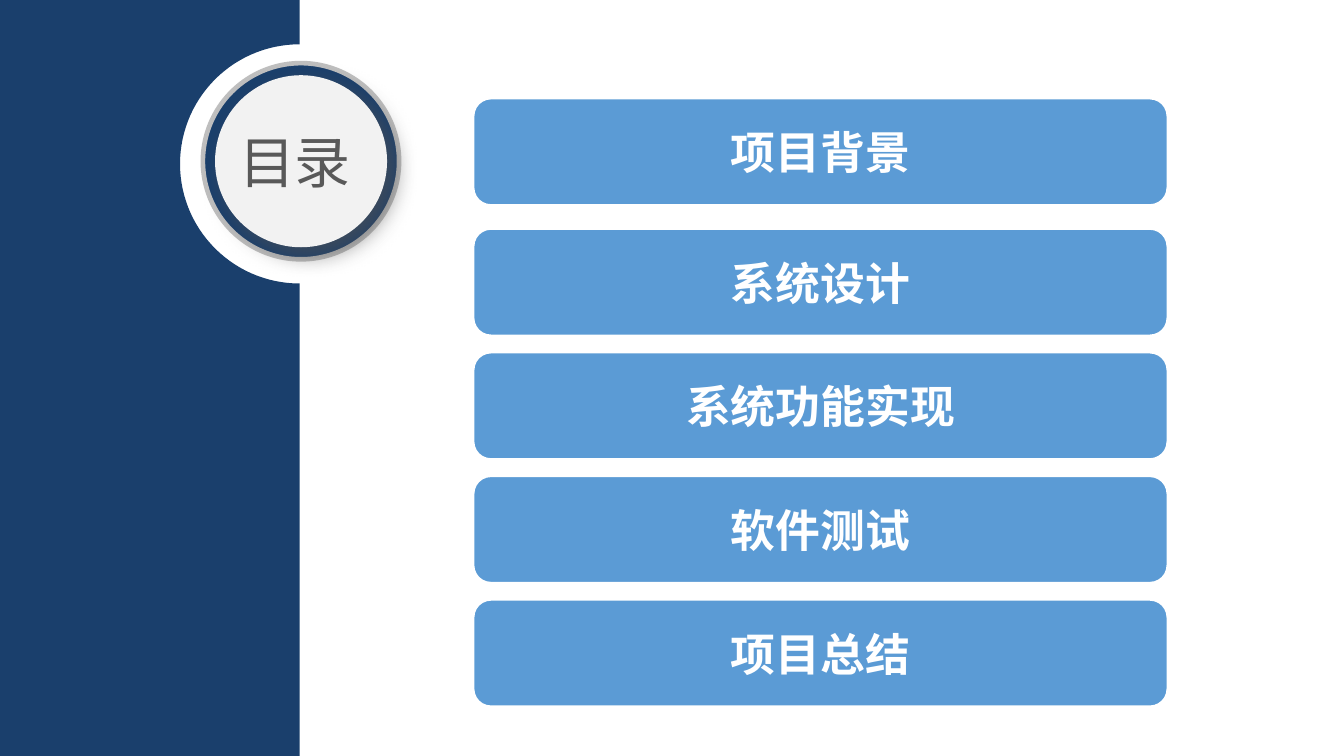
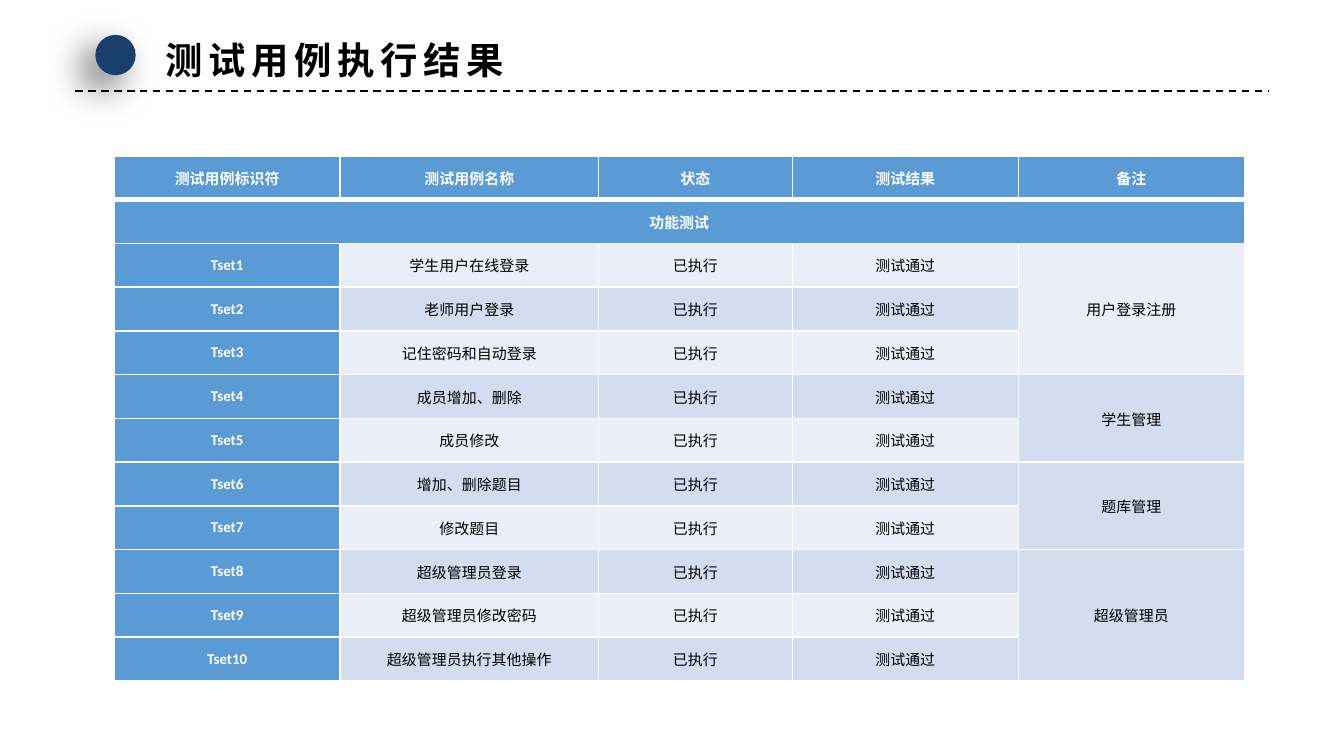
from math import cos, pi, sin

from lxml.etree import SubElement
from pptx import Presentation
from pptx.dml.color import RGBColor
from pptx.enum.dml import MSO_LINE
from pptx.enum.shapes import MSO_CONNECTOR, MSO_SHAPE
from pptx.enum.text import MSO_ANCHOR, PP_ALIGN
from pptx.oxml import parse_xml
from pptx.oxml.ns import nsdecls, qn
from pptx.util import Inches, Pt

NAVY = RGBColor(0x1A, 0x3F, 0x6C)
BLUE = RGBColor(0x5B, 0x9B, 0xD5)
PALE = RGBColor(0xEA, 0xEF, 0xF7)
MIST = RGBColor(0xD2, 0xDE, 0xEF)
WHITE = RGBColor(0xFF, 0xFF, 0xFF)
BLACK = RGBColor(0, 0, 0)
DARK_GREY = RGBColor(0x59, 0x59, 0x59)
LIGHT_GREY = RGBColor(0xF2, 0xF2, 0xF2)
RING_GREY = RGBColor(0xBF, 0xBF, 0xBF)
SHADOW_GREY = RGBColor(0x52, 0x52, 0x52)

CJK_FONT = "Noto Sans CJK SC"
TITLE_FONT = "Quicksand"
TABLE_FONT = "Calibri"

SLIDE_WIDTH = 10
SLIDE_HEIGHT = SLIDE_WIDTH * 9 / 16

TOPICS = ["项目背景", "系统设计", "系统功能实现", "软件测试", "项目总结"]
HEADERS = ["测试用例标识符", "测试用例名称", "状态", "测试结果", "备注"]
COLUMN_SHARES = [1.68, 1.92, 1.44, 1.68, 1.68]
TEST_GROUPS = [
    ("用户登录注册", ["学生用户在线登录", "老师用户登录", "记住密码和自动登录"]),
    ("学生管理", ["成员增加、删除", "成员修改"]),
    ("题库管理", ["增加、删除题目", "修改题目"]),
    ("超级管理员", ["超级管理员登录", "超级管理员修改密码", "超级管理员执行其他操作"]),
]


def write(text_frame, text, size, color, font_name=CJK_FONT, bold=False,
          alignment=PP_ALIGN.CENTER, spacing=None):
    paragraph = text_frame.paragraphs[0]
    paragraph.text = text
    paragraph.alignment = alignment
    font = paragraph.font
    font.size, font.bold, font.name = Pt(size), bold, font_name
    font.color.rgb = color
    properties = paragraph._p.pPr.find(qn("a:defRPr"))
    SubElement(properties, qn("a:ea")).set("typeface", CJK_FONT)
    if spacing:
        properties.set("spc", str(spacing * 100))


def add_filled(slide, kind, left, top, width, height, fill, line=None, line_width=1):
    shape = slide.shapes.add_shape(
        kind, Inches(left), Inches(top), Inches(width), Inches(height))
    shape.shadow.inherit = False
    paint(shape, fill, line, line_width)
    return shape


def paint(shape, fill, line=None, line_width=1):
    shape.fill.solid()
    shape.fill.fore_color.rgb = fill
    if line is None:
        shape.line.fill.background()
    else:
        shape.line.color.rgb = line
        shape.line.width = Pt(line_width)


def add_shadow(shape, color, opacity, blur, distance, angle):
    """Cast an outer shadow: opacity in percent, lengths in points, angle in degrees."""
    effects = shape._element.spPr.find(qn("a:effectLst"))
    effects.append(parse_xml(
        f'<a:outerShdw {nsdecls("a")} blurRad="{Pt(blur)}" dist="{Pt(distance)}" '
        f'dir="{angle * 60000}" algn="ctr" rotWithShape="0"><a:srgbClr val="{color}">'
        f'<a:alpha val="{opacity * 1000}"/></a:srgbClr></a:outerShdw>'))


def add_side_panel(slide, left, right, notch_center, notch_radius, steps=60):
    """Draw the full-height panel with a half-circle notch in its right edge."""
    angles = [-pi / 2 - pi * step / steps for step in range(steps + 1)]
    notch = [(right + notch_radius * cos(angle), notch_center + notch_radius * sin(angle))
             for angle in angles]
    outline = [(right, 0), *notch, (right, SLIDE_HEIGHT), (left, SLIDE_HEIGHT)]
    builder = slide.shapes.build_freeform(Inches(left), 0)
    builder.add_line_segments([(Inches(x), Inches(y)) for x, y in outline], close=True)
    panel = builder.convert_to_shape()
    panel.shadow.inherit = False
    paint(panel, NAVY)


def add_badge(slide, text, left, top, size):
    rim = 0.09
    add_filled(slide, MSO_SHAPE.OVAL, left, top, size, size, NAVY, RING_GREY, 2.5)
    disc = add_filled(slide, MSO_SHAPE.OVAL, left + rim, top + rim,
                      size - 2 * rim, size - 2 * rim, LIGHT_GREY)
    add_shadow(disc, SHADOW_GREY, 64, 12, 6, 45)
    box = slide.shapes.add_textbox(
        Inches(left - 0.01), Inches(top + 0.44), Inches(1.39), Inches(0.58))
    frame = box.text_frame
    frame.word_wrap = True
    frame.margin_left = frame.margin_right = Inches(0.07)
    frame.margin_top = frame.margin_bottom = Inches(0.04)
    write(frame, text, 30, DARK_GREY, TITLE_FONT)


def add_topic_bars(slide, left, top, width, height):
    pitch, first_extra = 0.92, 0.05
    for index, topic in enumerate(TOPICS):
        bar_top = top + index * pitch + (first_extra if index else 0)
        bar = add_filled(slide, MSO_SHAPE.ROUNDED_RECTANGLE, left, bar_top,
                         width, height, BLUE, WHITE, 1.5)
        bar.text_frame.vertical_anchor = MSO_ANCHOR.MIDDLE
        write(bar.text_frame, topic, 24, WHITE, bold=True)


def add_heading(slide, text, left, top, width):
    rule_top = top + 0.42
    rule = slide.shapes.add_connector(
        MSO_CONNECTOR.STRAIGHT, Inches(left), Inches(rule_top),
        Inches(left + width), Inches(rule_top))
    SubElement(rule._element.spPr, qn("a:effectLst"))
    rule.line.color.rgb = BLACK
    rule.line.width = Pt(1)
    rule.line.dash_style = MSO_LINE.DASH
    dot = add_filled(slide, MSO_SHAPE.OVAL, left + 0.15, top, 0.3, 0.3, NAVY)
    add_shadow(dot, BLACK, 60, 20, 10, 135)
    box = slide.shapes.add_textbox(
        Inches(left + 0.57), Inches(top - 0.03), Inches(2.78), Inches(0.44))
    box.text_frame.word_wrap = False
    write(box.text_frame, text, 20, BLACK, bold=True,
          alignment=PP_ALIGN.LEFT, spacing=3)


def set_borders(cell, **widths):
    """Rule the cell in white, 1 point wide unless a side (L, R, T, B) says otherwise."""
    properties = cell._tc.get_or_add_tcPr()
    for index, side in enumerate("LRTB"):
        properties.insert(index, parse_xml(
            f'<a:ln{side} {nsdecls("a")} w="{Pt(widths.get(side, 1))}"><a:solidFill>'
            f'<a:srgbClr val="{WHITE}"/></a:solidFill></a:ln{side}>'))


def add_result_table(slide, left, top, width, height):
    rows = [HEADERS, ["功能测试", "", "", "", ""]]
    merges = [(1, 0, 1, 4)]
    for remark, names in TEST_GROUPS:
        first = len(rows)
        merges.append((first, 4, first + len(names) - 1, 4))
        for index, name in enumerate(names):
            rows.append([f"Tset{len(rows) - 1}", name, "已执行", "测试通过",
                         "" if index else remark])

    table = slide.shapes.add_table(
        len(rows), len(HEADERS), Inches(left), Inches(top),
        Inches(width), Inches(height)).table
    for column, share in zip(table.columns, COLUMN_SHARES):
        column.width = Inches(width * share / sum(COLUMN_SHARES))
    for row_index, row in enumerate(rows):
        for column_index, text in enumerate(row):
            cell = table.cell(row_index, column_index)
            is_heading = row_index < 2 or column_index == 0
            cell.fill.solid()
            cell.fill.fore_color.rgb = BLUE if is_heading else (PALE, MIST)[row_index % 2]
            cell.vertical_anchor = MSO_ANCHOR.MIDDLE
            cell.margin_left = cell.margin_right = Inches(0.06)
            cell.margin_top = cell.margin_bottom = 0
            set_borders(cell, B=3 if row_index == 0 else 1, T=3 if row_index == 1 else 1)
            write(cell.text_frame, text, 8, WHITE if is_heading else BLACK,
                  TABLE_FONT, bold=is_heading)
    for first_row, first_column, last_row, last_column in merges:
        table.cell(first_row, first_column).merge(table.cell(last_row, last_column))


def build_contents(slide):
    add_side_panel(slide, -0.1, 2.23, notch_center=1.22, notch_radius=0.89)
    add_badge(slide, "目录", 1.51, 0.47, 1.46)
    add_topic_bars(slide, 3.52, 0.73, 5.17, 0.8)


def build_test_results(slide):
    add_heading(slide, "测试用例执行结果", 0.56, 0.26, 8.88)
    add_result_table(slide, 0.85, 1.16, 8.41, 3.91)


def main():
    presentation = Presentation()
    presentation.slide_width = Inches(SLIDE_WIDTH)
    presentation.slide_height = Inches(SLIDE_HEIGHT)
    for build in (build_contents, build_test_results):
        build(presentation.slides.add_slide(presentation.slide_layouts[6]))
    presentation.save("out.pptx")


if __name__ == "__main__":
    main()
